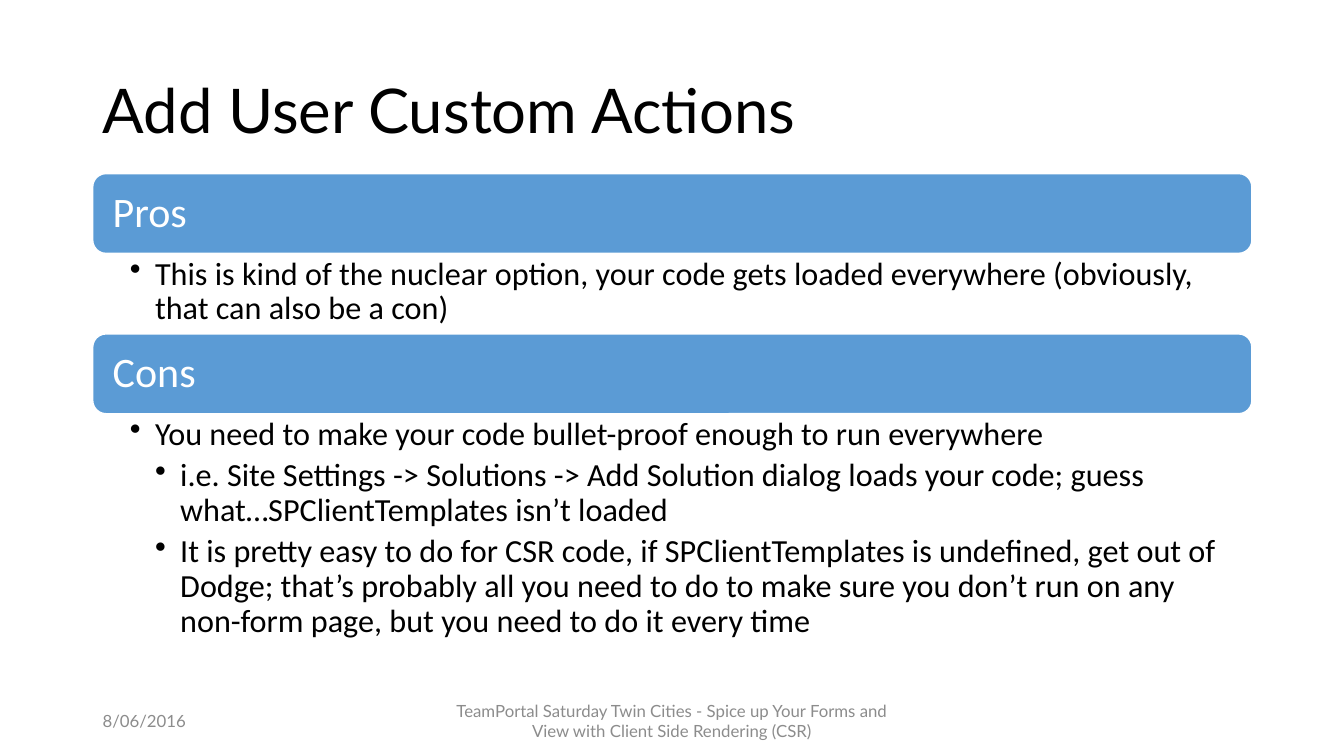
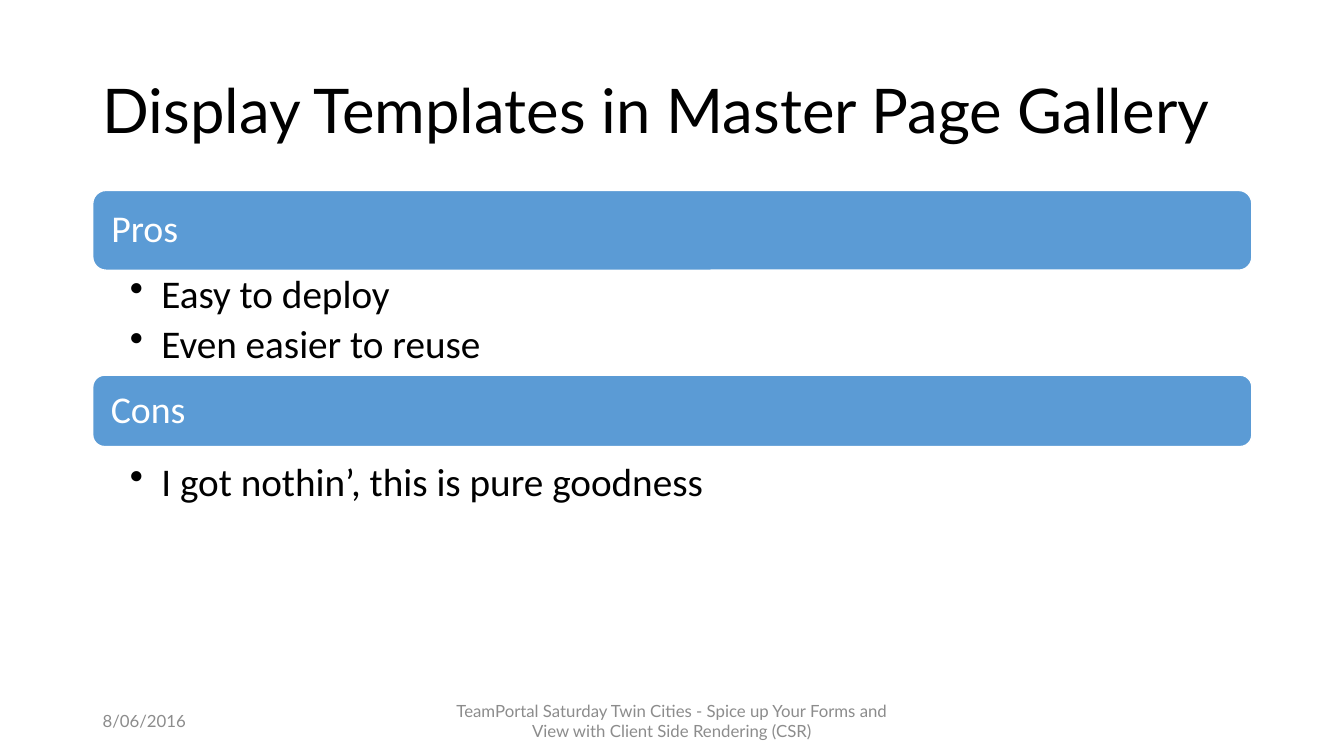
from dataclasses import dataclass
from lxml import etree
from pptx import Presentation
from pptx.dml.color import RGBColor
from pptx.enum import shapes, text
from pptx.oxml import ns
from pptx.util import Pt


@dataclass(frozen=True)
class Theme:
    """Colours, fonts, type sizes and margins that the slides share."""
    ink: str = "000000"
    pale: str = "FFFFFF"
    bar: str = "5B9BD5"
    mute: str = "8C8C8C"
    head: str = "Lato"
    body: str = "Calibri"
    title: int = 44
    foot: int = 12
    wide: float = 960
    high: float = 540
    left: float = 66.24
    span: float = 828


T = Theme()
DATE = "8/06/2016"
EVENT = ("TeamPortal Saturday Twin Cities - Spice up Your Forms and "
         "View with Client Side Rendering (CSR)")


def write(shape, lines, size, font=T.body, color=T.ink, align="LEFT", anchor="MIDDLE",
          pad=(7.2, 3.6, 7.2, 3.6), lead=0.9, after=0, step=0):
    """Write (level, text) lines into a shape; a step sets bullets and indents."""
    frame = shape.text_frame
    frame.word_wrap = True
    frame.vertical_anchor = text.MSO_ANCHOR[anchor]
    (frame.margin_left, frame.margin_top,
     frame.margin_right, frame.margin_bottom) = map(Pt, pad)
    for i, (level, words) in enumerate(lines):
        para = frame.add_paragraph() if i else frame.paragraphs[0]
        para.alignment = text.PP_ALIGN[align]
        para.line_spacing = lead
        para.space_after = Pt(after)
        run = para.add_run()
        run.text = words
        run.font.size = Pt(size)
        run.font.name = font
        run.font.color.rgb = RGBColor.from_string(color)
        if step:
            props = para._p.get_or_add_pPr()
            props.set("marL", str(Pt(step * level)))
            props.set("indent", str(Pt(-step)))
            etree.SubElement(props, ns.qn("a:buChar")).set("char", "•")


def label(slide, box, words, size, **fmt):
    """Place one line of text in a box."""
    write(slide.shapes.add_textbox(*map(Pt, box)), [(0, words)], size, **fmt)


def frame(slide, title):
    """Place the title and the footers."""
    label(slide, (T.left, 28.75, T.span, 104.5), title, T.title, font=T.head)
    foot = dict(size=T.foot, font=T.head, color=T.mute, lead=1)
    label(slide, (T.left, 500.5, 216, 28.75), DATE, **foot)
    wide = 324
    label(slide, ((T.wide - wide) / 2, 500.5, wide, 28.75), EVENT, align="CENTER", **foot)


def section(slide, box, name, lines, bar, gap, sizes, pad, step):
    """Place a heading bar with its bullet list below."""
    left, top, wide, high = box
    band = slide.shapes.add_shape(shapes.MSO_SHAPE.ROUNDED_RECTANGLE,
                                  Pt(left), Pt(top), Pt(wide), Pt(bar))
    band.shadow.inherit = False
    band.fill.solid()
    band.fill.fore_color.rgb = RGBColor.from_string(T.bar)
    band.line.color.rgb = RGBColor.from_string(T.pale)
    band.line.width = Pt(1)
    large, small = sizes
    write(band, [(0, name)], large, color=T.pale, pad=(pad,) * 4)
    drop = bar + gap
    room = slide.shapes.add_textbox(Pt(left), Pt(top + drop), Pt(wide), Pt(high - drop))
    write(room, lines, small, anchor="TOP", pad=(26.5, 2.9, 16.5, 2.9),
          after=0.2 * small, step=step)


def page(deck, title, parts, **style):
    """Build one slide of pros and cons."""
    slide = deck.slides.add_slide(deck.slide_layouts[6])
    frame(slide, title)
    for name, top, high, bar, gap, lines in parts:
        section(slide, (T.left, top, T.span, high), name, lines, bar, gap, **style)


def main():
    """Build and save the deck."""
    deck = Presentation()
    deck.slide_width, deck.slide_height = Pt(T.wide), Pt(T.high)
    page(deck, "Add User Custom Actions", [
        ("Pros", 124, 114.5, 57, 0, [
            (1, "This is kind of the nuclear option, your code gets loaded everywhere "
                "(obviously, that can also be a con)")]),
        ("Cons", 238.5, 228, 57, 0, [
            (1, "You need to make your code bullet-proof enough to run everywhere"),
            (2, "i.e. Site Settings -> Solutions -> Add Solution dialog loads your code; "
                "guess what…SPClientTemplates isn’t loaded"),
            (2, "It is pretty easy to do for CSR code, if SPClientTemplates is undefined, "
                "get out of Dodge; that’s probably all you need to do to make sure you "
                "don’t run on any non-form page, but you need to do it every time")]),
    ], sizes=(30, 23), pad=11.5, step=18)
    page(deck, "Display Templates in Master Page Gallery", [
        ("Pros", 136, 140.5, 57, 0, [(1, "Easy to deploy"), (1, "Even easier to reuse")]),
        ("Cons", 268, 143, 51, 8.5, [(1, "I got nothin’, this is pure goodness")]),
    ], sizes=(27, 28), pad=10.5, step=22.5)
    deck.save("out.pptx")


if __name__ == "__main__":
    main()
